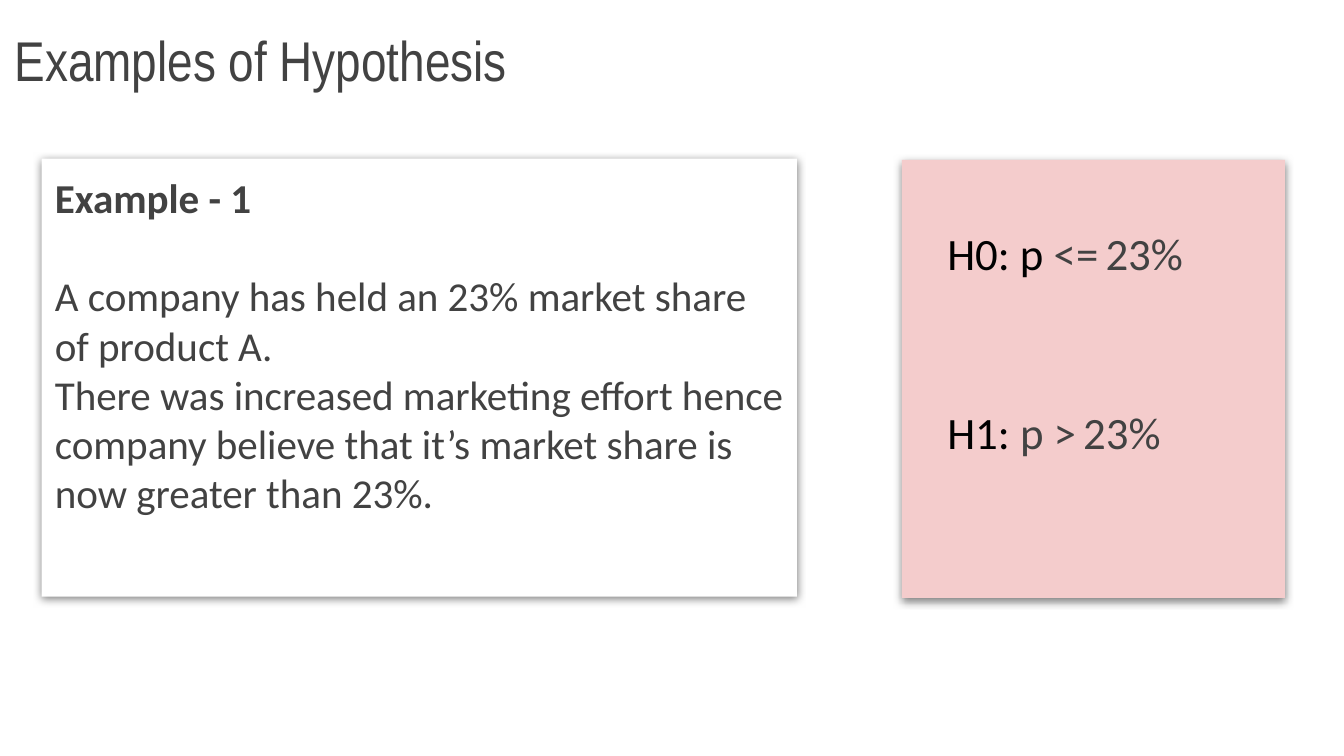
"""Builds a slide with a hypothesis example beside its H0 and H1 statements."""
from dataclasses import dataclass

from lxml.etree import SubElement as Sub
from pptx import Presentation
from pptx.dml.color import RGBColor as Color
from pptx.enum.shapes import MSO_SHAPE as Shape
from pptx.enum.text import MSO_ANCHOR as Anchor, PP_ALIGN as Align
from pptx.oxml.ns import qn
from pptx.util import Inches, Pt


@dataclass(frozen=True)
class Theme:
    ink: str = "424242"
    black: str = "000000"
    white: str = "FFFFFF"
    pink: str = "F4CCCC"
    head: str = "Arial Narrow"
    body: str = "Calibri"
    title: float = 30
    text: float = 22
    claim: float = 24
    thin: float = 17
    gap: float = 26.5
    inset: float = 0.1


class Deck:
    def __init__(self, theme, wide):
        self.theme = theme
        self.file = Presentation()
        self.file.slide_width = Inches(wide)
        self.file.slide_height = Inches(wide * 9 / 16)
        self.slide = self.file.slides.add_slide(self.file.slide_layouts[6])

    def font(self, run, size, tone, face, bold=False):
        font = run.font
        font.size, font.name, font.bold = Pt(size), face, bold
        font.color.rgb = Color.from_string(tone)

    def frame(self, shape, anchor=Anchor.TOP):
        frame = shape.text_frame
        frame.word_wrap = True
        frame.vertical_anchor = anchor
        pad = Inches(self.theme.inset)
        frame.margin_left = frame.margin_right = pad
        frame.margin_top = frame.margin_bottom = pad
        return frame

    def box(self, area):
        return self.slide.shapes.add_textbox(*map(Inches, area))

    def title(self, area, text):
        frame = self.frame(self.box(area), Anchor.BOTTOM)
        frame.text = text
        look = self.theme
        self.font(frame.paragraphs[0].runs[0], look.title, look.ink, look.head)

    def shade(self, shape):
        shape.shadow.inherit = False
        effects = shape._element.spPr.find(qn("a:effectLst"))
        outer = Sub(effects, qn("a:outerShdw"), blurRad=str(Pt(4.5)),
                    dist=str(Pt(1.5)), dir="5400000", algn="bl", rotWithShape="0")
        tone = Sub(outer, qn("a:srgbClr"), val=self.theme.black)
        Sub(tone, qn("a:alpha"), val="50000")

    def card(self, area, fill, lines=()):
        card = self.slide.shapes.add_shape(Shape.RECTANGLE, *map(Inches, area))
        card.fill.solid()
        card.fill.fore_color.rgb = Color.from_string(fill)
        card.line.fill.background()
        self.shade(card)
        if not lines:
            return
        frame = self.frame(card)
        frame.text = "\n".join(lines)
        look = self.theme
        for rank, para in enumerate(frame.paragraphs):
            para.alignment = Align.LEFT
            self.font(para.runs[0], look.text, look.ink, look.body, rank == 0)
        frame.paragraphs[0].space_after = Pt(look.gap)

    def claim(self, area, dark, light, value):
        para = self.frame(self.box(area)).paragraphs[0]
        look = self.theme
        parts = [(dark, look.claim, look.black), (light, look.claim, look.ink),
                 (" ", look.thin, look.ink), (value, look.claim, look.ink)]
        for text, size, tone in parts:
            run = para.add_run()
            run.text = text
            self.font(run, size, tone, look.body)

    def save(self):
        self.file.save("out.pptx")


def main():
    theme = Theme()
    deck = Deck(theme, 10)
    deck.title((0.01, -0.01, 9.32, 0.8), "Examples of Hypothesis")
    deck.card((0.31, 1.18, 5.62, 3.26), theme.white, [
        "Example - 1",
        "A company has held an 23% market share of product A.",
        "There was increased marketing effort hence company believe "
        "that it’s market share is now greater than 23%.",
    ])
    deck.card((6.71, 1.19, 2.85, 3.26), theme.pink)
    claims = [(1.58, "H0: p", " <="), (2.91, "H1: ", "p >")]
    for top, dark, light in claims:
        deck.claim((6.95, top, 2.59, 0.61), dark, light, "23%")
    deck.save()


if __name__ == "__main__":
    main()
